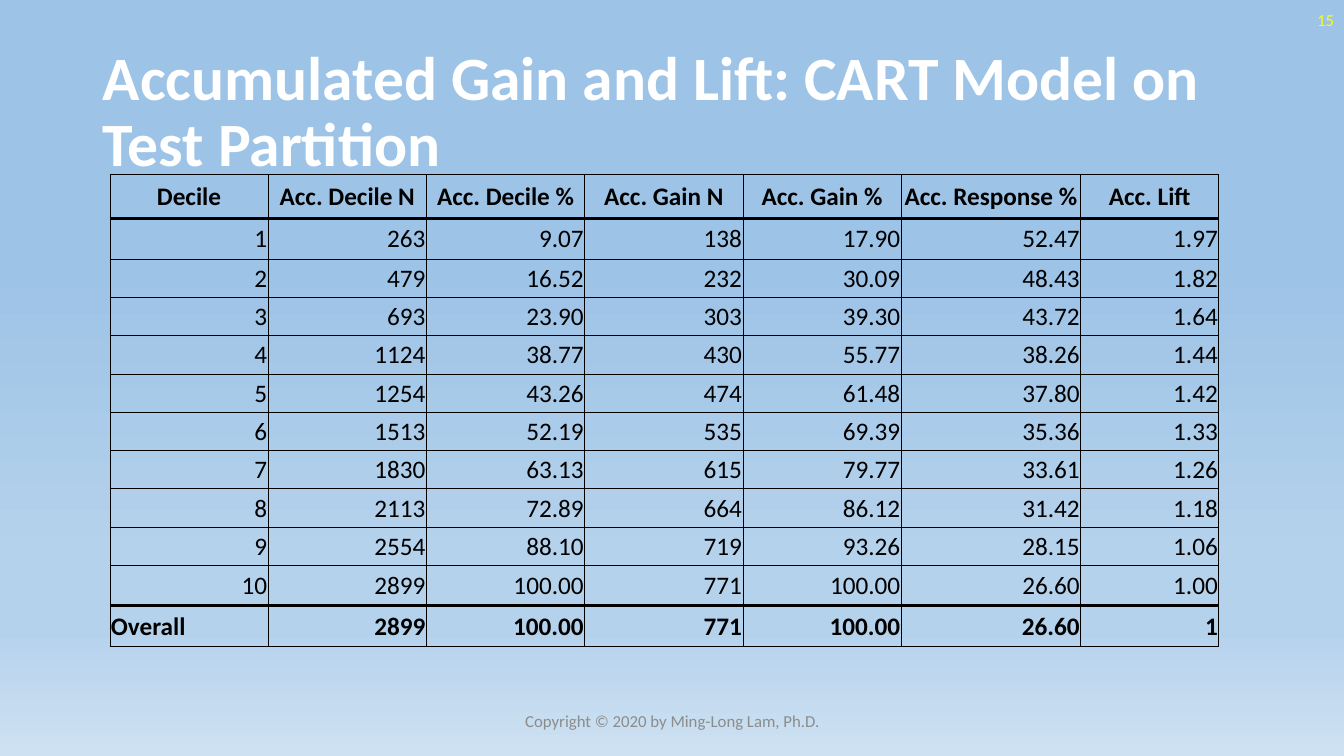
from lxml import etree
from pptx import Presentation
from pptx.dml.color import RGBColor
from pptx.enum.text import MSO_ANCHOR, MSO_AUTO_SIZE, PP_ALIGN
from pptx.oxml.ns import qn
from pptx.util import Inches, Pt

LEFT, CENTER, RIGHT = PP_ALIGN.LEFT, PP_ALIGN.CENTER, PP_ALIGN.RIGHT
MIDDLE = MSO_ANCHOR.MIDDLE
NO_AUTOFIT = MSO_AUTO_SIZE.NONE

FONT = "Calibri"
COLORS = {
    "title": "FFFFFF",
    "number": "FFFF00",
    "table": "000000",
    "footer": "8C8C8C",
    "sky": "9DC3E6",
    "haze": "B5D2EC",
    "horizon": "CEE1F2",
}
GRADIENT_STOPS = [(35, "sky"), (74, "haze"), (83, "haze"), (100, "horizon")]

THIN, THICK = 0.5, 2
COLUMN_WIDTHS = [1.57] * 5 + [1.78, 1.37]
ROW_HEIGHTS = [0.44, 0.4] + [0.38] * 8 + [0.4, 0.4]
HEADERS = ["Decile", "Acc. Decile N", "Acc. Decile %", "Acc. Gain N",
           "Acc. Gain %", "Acc. Response %", "Acc. Lift"]
DECILES = [
    ["1", "263", "9.07", "138", "17.90", "52.47", "1.97"],
    ["2", "479", "16.52", "232", "30.09", "48.43", "1.82"],
    ["3", "693", "23.90", "303", "39.30", "43.72", "1.64"],
    ["4", "1124", "38.77", "430", "55.77", "38.26", "1.44"],
    ["5", "1254", "43.26", "474", "61.48", "37.80", "1.42"],
    ["6", "1513", "52.19", "535", "69.39", "35.36", "1.33"],
    ["7", "1830", "63.13", "615", "79.77", "33.61", "1.26"],
    ["8", "2113", "72.89", "664", "86.12", "31.42", "1.18"],
    ["9", "2554", "88.10", "719", "93.26", "28.15", "1.06"],
    ["10", "2899", "100.00", "771", "100.00", "26.60", "1.00"],
]
OVERALL = ["Overall", "2899", "100.00", "771", "100.00", "26.60", "1"]


def write_text(text_frame, text, size, color, bold=False, align=LEFT,
               line_spacing=None):
    """Fill a text frame with one formatted paragraph."""
    paragraph = text_frame.paragraphs[0]
    paragraph.alignment = align
    paragraph.line_spacing = line_spacing
    run = paragraph.add_run()
    run.text = text
    run.font.name = FONT
    run.font.size = Pt(size)
    run.font.bold = bold
    run.font.color.rgb = RGBColor.from_string(COLORS[color])


def set_background(slide):
    fill = slide.background.fill
    fill.gradient()
    fill.gradient_angle = 270
    stop_list = slide.element.find(".//" + qn("a:gsLst"))
    for stop in list(stop_list):
        stop_list.remove(stop)
    for percent, color in GRADIENT_STOPS:
        stop = etree.SubElement(stop_list, qn("a:gs"), pos=str(percent * 1000))
        etree.SubElement(stop, qn("a:srgbClr"), val=COLORS[color])


def add_title(slide, text):
    title = slide.shapes.title
    title.left, title.top = Inches(0.92), Inches(0.4)
    title.width, title.height = Inches(11.5), Inches(1.45)
    text_frame = title.text_frame
    text_frame.word_wrap = True
    text_frame.auto_size = NO_AUTOFIT
    text_frame.vertical_anchor = MIDDLE
    write_text(text_frame, text, 44, "title", bold=True, line_spacing=0.9)


def add_label(slide, text, left, top, width, height, **text_format):
    box = slide.shapes.add_textbox(Inches(left), Inches(top),
                                   Inches(width), Inches(height))
    box.text_frame.word_wrap = True
    box.text_frame.vertical_anchor = MIDDLE
    write_text(box.text_frame, text, 12, **text_format)


def set_borders(cell, top, bottom):
    """Draw all four cell edges; the sides are always thin."""
    properties = cell._tc.get_or_add_tcPr()
    edges = [("a:lnL", THIN), ("a:lnR", THIN), ("a:lnT", top), ("a:lnB", bottom)]
    for position, (tag, width) in enumerate(edges):
        line = etree.Element(qn(tag), w=str(Pt(width)))
        fill = etree.SubElement(line, qn("a:solidFill"))
        etree.SubElement(fill, qn("a:srgbClr"), val=COLORS["table"])
        properties.insert(position, line)


def format_cell(cell, text, bold, align, top, bottom):
    cell.fill.background()
    cell.vertical_anchor = MIDDLE
    cell.margin_left = cell.margin_right = cell.margin_top = Inches(0.01)
    cell.margin_bottom = 0
    write_text(cell.text_frame, text, 18, "table", bold=bold, align=align)
    set_borders(cell, top, bottom)


def add_gain_table(slide):
    rows = [HEADERS, *DECILES, OVERALL]
    last = len(rows) - 1
    table = slide.shapes.add_table(
        len(rows), len(HEADERS), Inches(1.09), Inches(1.73),
        Inches(sum(COLUMN_WIDTHS)), Inches(sum(ROW_HEIGHTS))).table
    table.first_row = table.horz_banding = False
    for column, width in zip(table.columns, COLUMN_WIDTHS):
        column.width = Inches(width)
    for row, height in zip(table.rows, ROW_HEIGHTS):
        row.height = Inches(height)

    # Thick rules sit below the header and above the overall row
    for row_index, values in enumerate(rows):
        top = THICK if row_index in (1, last) else THIN
        bottom = THICK if row_index in (0, last - 1) else THIN
        for column_index, text in enumerate(values):
            if row_index == 0:
                align = CENTER
            elif row_index == last and column_index == 0:
                align = LEFT
            else:
                align = RIGHT
            format_cell(table.cell(row_index, column_index), text,
                        row_index in (0, last), align, top, bottom)


def main():
    presentation = Presentation()
    presentation.slide_width = Inches(13.33)
    presentation.slide_height = Inches(7.5)
    title_only = presentation.slide_layouts.get_by_name("Title Only")
    slide = presentation.slides.add_slide(title_only)
    set_background(slide)

    # Heading and slide number
    add_title(slide, "Accumulated Gain and Lift: CART Model on Test Partition")
    add_label(slide, "15", 10.33, 0, 3, 0.4, color="number", align=RIGHT)

    # Gain and lift by decile
    add_gain_table(slide)

    # Footer
    add_label(slide, "Copyright © 2020 by Ming-Long Lam, Ph.D.",
              4.42, 6.95, 4.5, 0.4, color="footer", align=CENTER)
    presentation.save("out.pptx")


if __name__ == "__main__":
    main()
